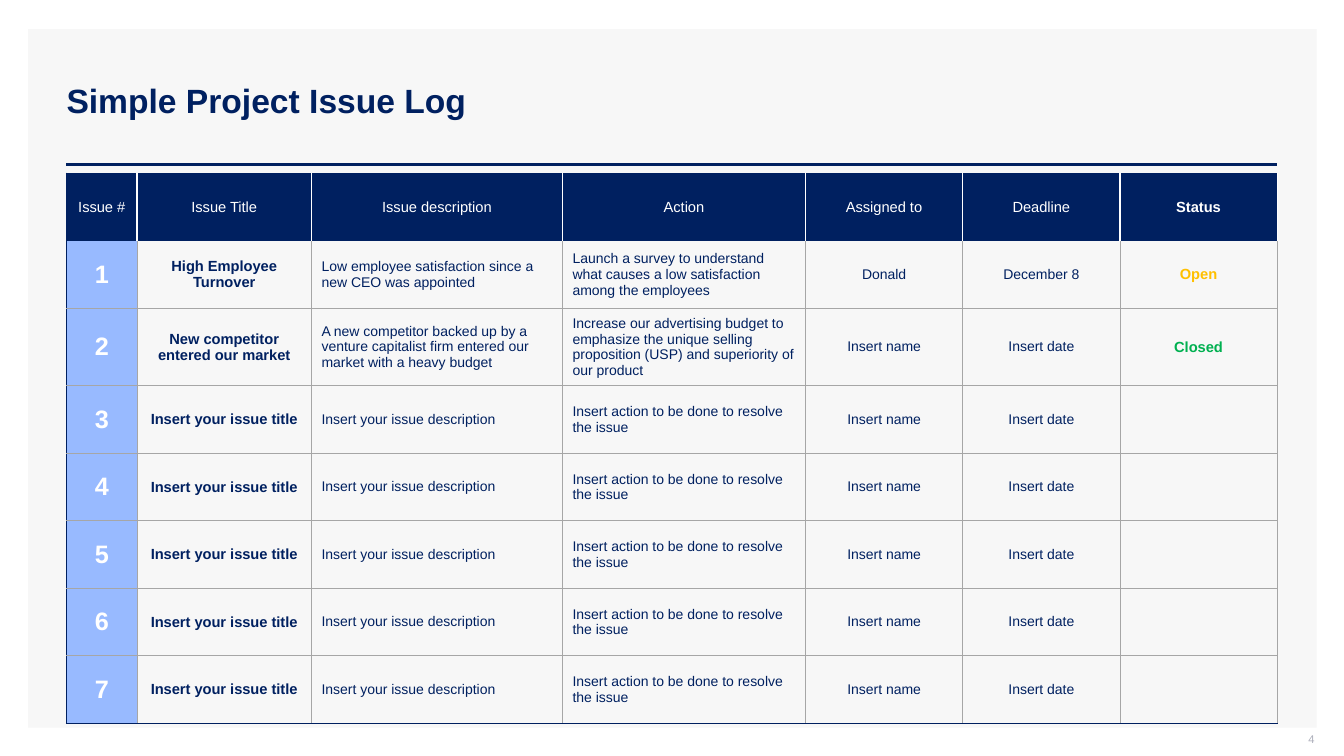
from dataclasses import dataclass
from typing import Any, Optional

import lxml.etree
import pptx
import pptx.dml.color
import pptx.enum.shapes
import pptx.enum.text
import pptx.oxml.ns
import pptx.util

COLORS = {
    "navy": "002060",
    "white": "FFFFFF",
    "panel": "F7F7F7",
    "blue": "98BAFF",
    "grid": "A6A6A6",
    "muted": "ADAFBB",
    "Open": "FFC000",
    "Closed": "00B050",
}
ALIGN = pptx.enum.text.PP_ALIGN
MIDDLE = pptx.enum.text.MSO_ANCHOR.MIDDLE
SLIDE_WIDTH = pptx.util.Inches(13.33)
SLIDE_HEIGHT = pptx.util.Inches(7.5)
ROW_PERCENT = 8.93


@dataclass(frozen=True)
class Area:
    left: float
    top: float
    width: float
    height: float

    def emu(self) -> tuple[int, int, int, int]:
        return across(self.left), down(self.top), across(self.width), down(self.height)


@dataclass(frozen=True)
class Style:
    size: float
    color: str = "navy"
    bold: bool = False
    align: Any = ALIGN.CENTER


@dataclass(frozen=True)
class Column:
    heading: str
    percent: float
    style: Style
    fill: Optional[str] = None


@dataclass(frozen=True)
class Issue:
    title: str = "Insert your issue title"
    description: str = "Insert your issue description"
    action: str = "Insert action to be done to resolve the issue"
    owner: str = "Insert name"
    deadline: str = "Insert date"
    status: str = ""


@dataclass(frozen=True)
class Edge:
    color: str
    points: float


PANEL = Area(2.1, 3.87, 95.87, 92.4)
TITLE = Area(4.2, 5.33, 90.85, 15.87)
RULE = Area(4.95, 21.73, 90.1, 0)
LOG = Area(4.95, 22.93, 90.1, ROW_PERCENT * 8)
PAGE_NUMBER = Area(75.32, 96.67, 22.5, 2.8)

CENTERED = Style(10)
PROSE = Style(10, align=ALIGN.LEFT)
STRONG = Style(10.5, bold=True)
COLUMNS = [
    Column("Issue #", 5.25, Style(18, "white", True), "blue"),
    Column("Issue Title", 12.98, STRONG),
    Column("Issue description", 18.68, PROSE),
    Column("Action", 18.08, PROSE),
    Column("Assigned to", 11.7, CENTERED),
    Column("Deadline", 11.7, CENTERED),
    Column("Status", 11.7, STRONG),
]
ISSUES = [
    Issue(
        "High Employee Turnover",
        "Low employee satisfaction since a new CEO was appointed",
        "Launch a survey to understand what causes a low satisfaction among the employees",
        "Donald",
        "December 8",
        "Open",
    ),
    Issue(
        "New competitor entered our market",
        "A new competitor backed up by a venture capitalist firm entered our market with a heavy budget",
        "Increase our advertising budget to emphasize the unique selling proposition (USP) "
        "and superiority of our product",
        status="Closed",
    ),
] + [Issue()] * 5

NAVY_EDGE = Edge("navy", 1)
WHITE_EDGE = Edge("white", 1)
GRID_EDGE = Edge("grid", 0.5)


def across(percent: float) -> int:
    return round(SLIDE_WIDTH * percent / 100)


def down(percent: float) -> int:
    return round(SLIDE_HEIGHT * percent / 100)


def rgb(name: str) -> pptx.dml.color.RGBColor:
    return pptx.dml.color.RGBColor.from_string(COLORS[name])


def write(frame: Any, text: str, style: Style) -> None:
    frame.text = text
    frame.word_wrap = True
    para = frame.paragraphs[0]
    para.alignment = style.align
    for span in para.runs:
        span.font.name = "Arial"
        span.font.size = pptx.util.Pt(style.size)
        span.font.bold = style.bold
        span.font.color.rgb = rgb(style.color)


def set_edges(cell: Any, edges: dict[str, Optional[Edge]]) -> None:
    qualify = pptx.oxml.ns.qn
    properties = cell._tc.get_or_add_tcPr()
    for side in "LRTB":
        edge = edges[side]
        line = lxml.etree.SubElement(properties, qualify(f"a:ln{side}"))
        if edge is None:
            lxml.etree.SubElement(line, qualify("a:noFill"))
            continue
        line.set("w", str(pptx.util.Pt(edge.points)))
        fill = lxml.etree.SubElement(line, qualify("a:solidFill"))
        lxml.etree.SubElement(fill, qualify("a:srgbClr"), val=COLORS[edge.color])


def fill_cell(
    cell: Any, text: str, style: Style, fill: Optional[str], edges: dict[str, Optional[Edge]]
) -> None:
    write(cell.text_frame, text, style)
    cell.vertical_anchor = MIDDLE
    set_edges(cell, edges)
    if fill:
        cell.fill.solid()
        cell.fill.fore_color.rgb = rgb(fill)
    else:
        cell.fill.background()


def add_frame(page: Any) -> None:
    panel = page.shapes.add_shape(pptx.enum.shapes.MSO_SHAPE.RECTANGLE, *PANEL.emu())
    panel.shadow.inherit = False
    panel.fill.solid()
    panel.fill.fore_color.rgb = rgb("panel")
    panel.line.fill.background()
    left, top, width, height = RULE.emu()
    rule = page.shapes.add_connector(
        pptx.enum.shapes.MSO_CONNECTOR.STRAIGHT, left, top, left + width, top + height
    )
    rule.line.color.rgb = rgb("navy")
    rule.line.width = pptx.util.Pt(2)
    lxml.etree.SubElement(rule.element.spPr, pptx.oxml.ns.qn("a:effectLst"))


def add_title(page: Any) -> None:
    title = page.shapes.title
    title.left, title.top, title.width, title.height = TITLE.emu()
    write(title.text_frame, "Simple Project Issue Log", Style(24, bold=True, align=ALIGN.LEFT))
    title.text_frame.vertical_anchor = MIDDLE
    title.element.getparent().append(title.element)


def add_page_number(page: Any) -> None:
    frame = page.shapes.add_textbox(*PAGE_NUMBER.emu()).text_frame
    write(frame, "4", Style(8, "muted", align=ALIGN.RIGHT))
    frame.vertical_anchor = MIDDLE
    frame.margin_top = frame.margin_right = 0
    frame.margin_bottom = pptx.util.Inches(0.05)


def add_log(page: Any) -> None:
    table = page.shapes.add_table(len(ISSUES) + 1, len(COLUMNS), *LOG.emu()).table
    table.first_row = table.horz_banding = False
    for row in table.rows:
        row.height = down(ROW_PERCENT)
    for index, column in enumerate(COLUMNS):
        table.columns[index].width = across(column.percent)
        first = index == 0
        heading_edges = {"L": NAVY_EDGE if first else WHITE_EDGE, "R": WHITE_EDGE, "T": NAVY_EDGE, "B": None}
        heading_style = Style(10.5, "white", column.heading == "Status")
        fill_cell(table.cell(0, index), column.heading, heading_style, "navy", heading_edges)
        for number, issue in enumerate(ISSUES, start=1):
            values = (
                str(number), issue.title, issue.description, issue.action,
                issue.owner, issue.deadline, issue.status,
            )
            style = column.style
            if column.heading == "Status" and issue.status:
                style = Style(style.size, issue.status, style.bold)
            edges = {
                "L": NAVY_EDGE if first else GRID_EDGE,
                "R": GRID_EDGE,
                "T": None if number == 1 else GRID_EDGE,
                "B": NAVY_EDGE if number == len(ISSUES) else GRID_EDGE,
            }
            fill_cell(table.cell(number, index), values[index], style, column.fill, edges)


def main() -> None:
    deck = pptx.Presentation()
    deck.slide_width, deck.slide_height = SLIDE_WIDTH, SLIDE_HEIGHT
    page = deck.slides.add_slide(deck.slide_layouts[5])
    add_frame(page)
    add_title(page)
    add_page_number(page)
    add_log(page)
    deck.save("out.pptx")


if __name__ == "__main__":
    main()
